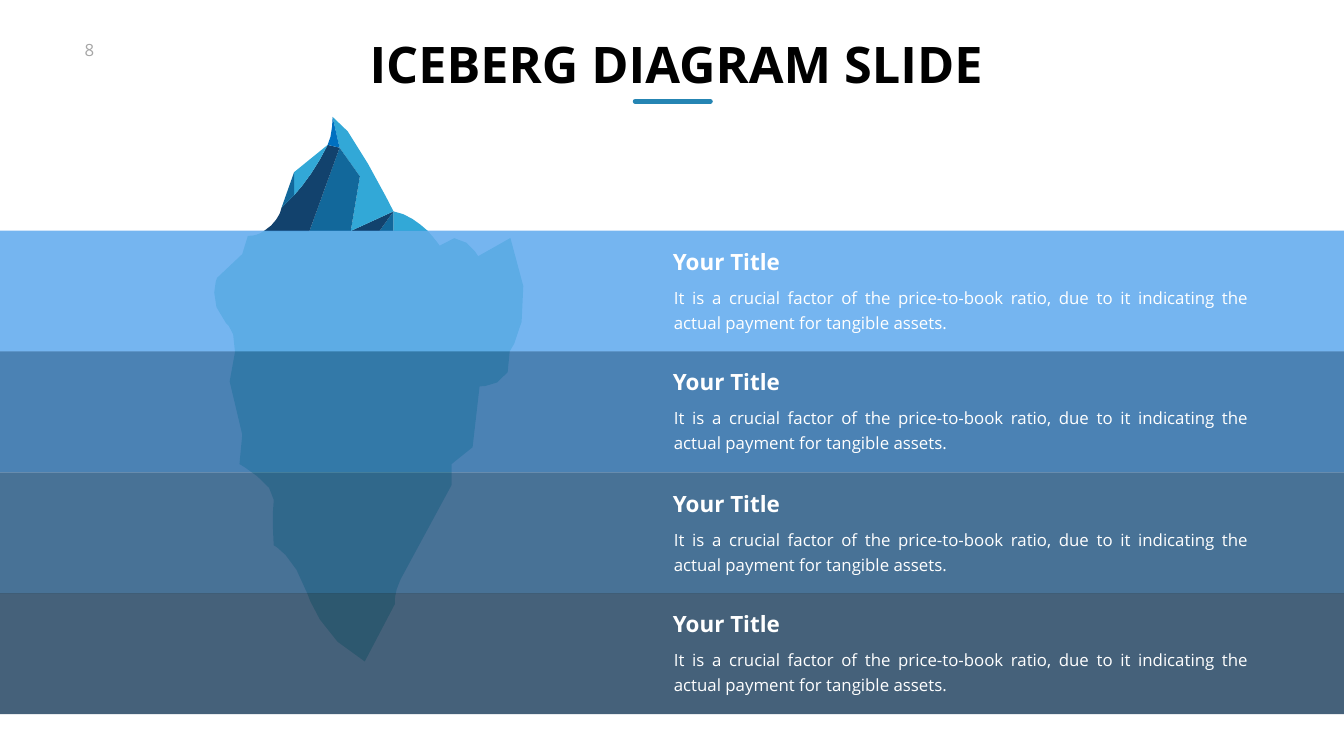
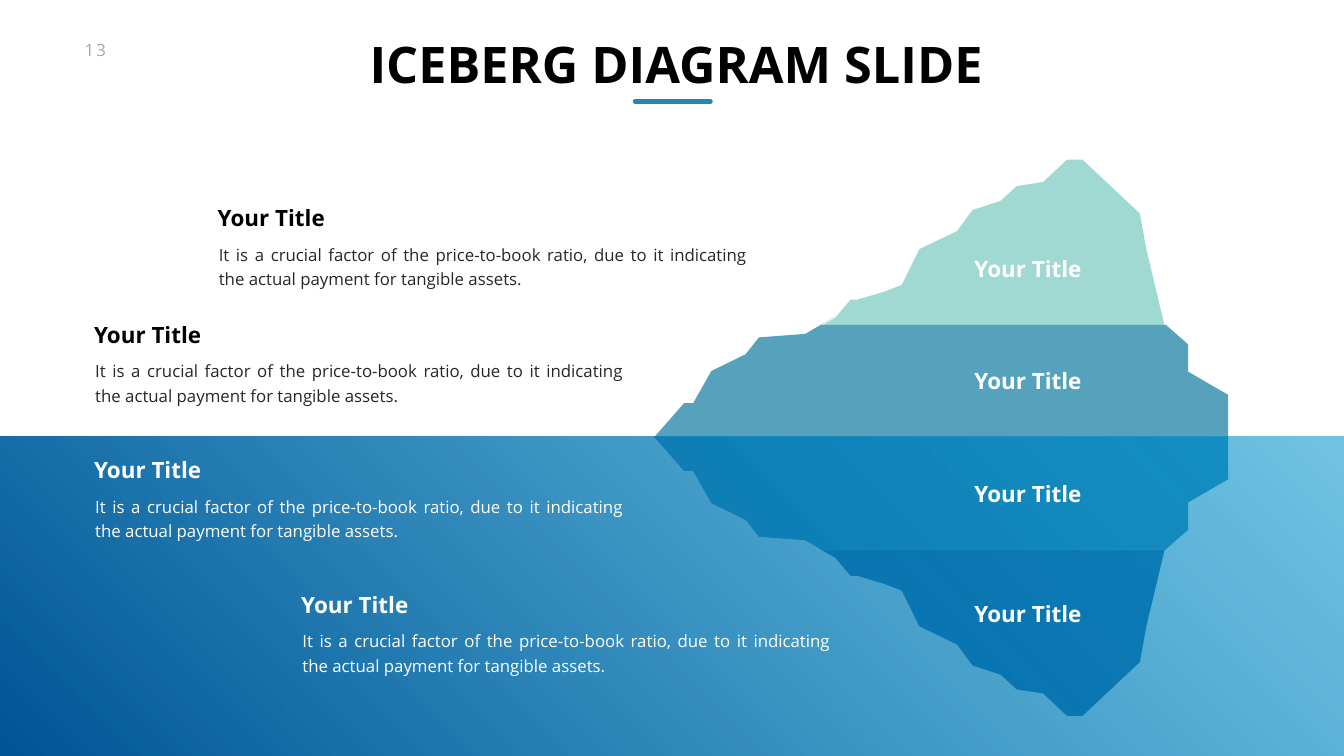
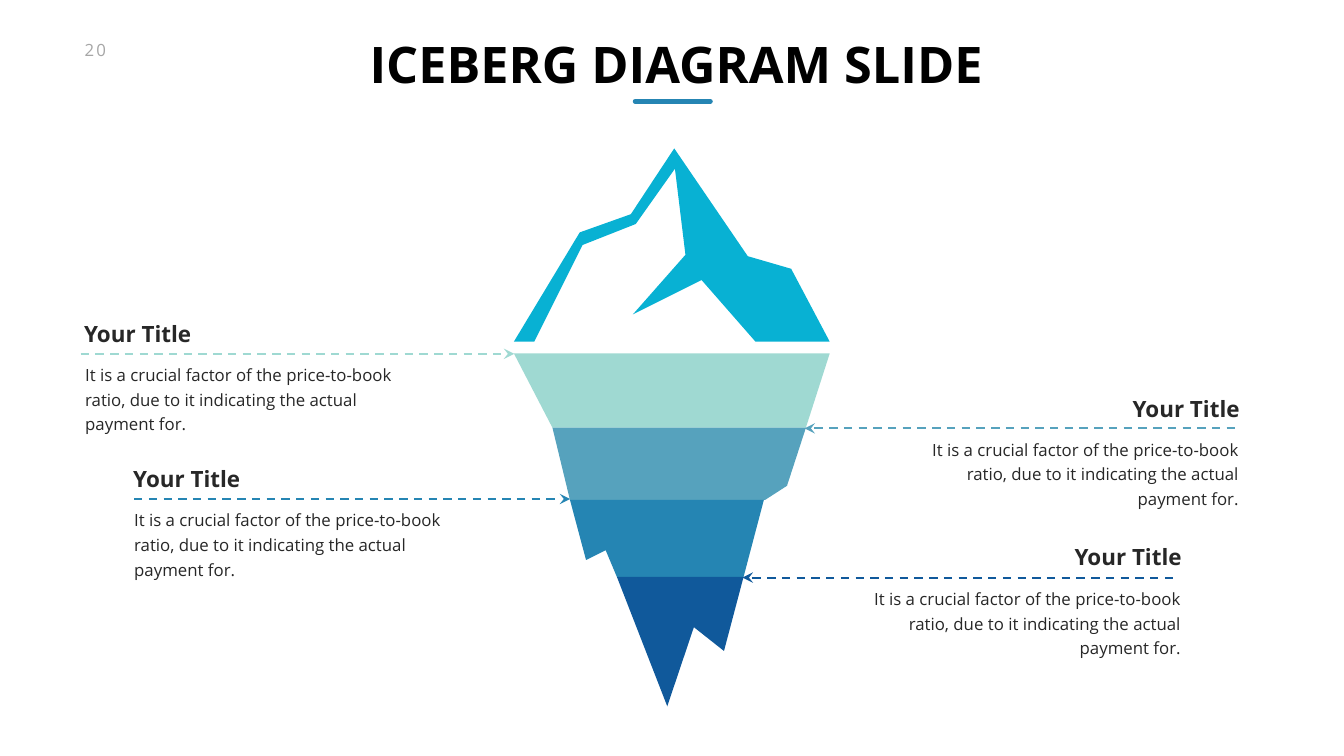
from dataclasses import dataclass

from pptx import Presentation
from pptx import util as u
from pptx.dml.color import RGBColor
from pptx.enum import dml, shapes, text
from pptx.oxml.ns import qn
from lxml import etree

Pt = u.Pt
LEFT, CENTER, RIGHT, JUSTIFY = (
    text.PP_ALIGN.LEFT, text.PP_ALIGN.CENTER, text.PP_ALIGN.RIGHT, text.PP_ALIGN.JUSTIFY)


@dataclass(frozen=True)
class Theme:
    font: str = "Open Sans"
    title_size: int = 72
    heading_size: int = 32
    body_size: int = 24
    line_spacing: int = 35
    black: str = "000000"
    white: str = "FFFFFF"
    ink: str = "272727"
    grey: str = "A6A6A6"
    mint: str = "9FD9D2"
    teal: str = "56A2BD"
    blue: str = "2585B3"
    navy: str = "10599B"
    cyan: str = "08B1D3"
    ice_light: str = "32A8D7"
    ice_mid: str = "12689B"
    ice_dark: str = "12426D"
    ice_bright: str = "0070C0"
    depths: tuple = ("479DEC", "10599B", "0C4374", "082D4E")
    sea: tuple = ("005496", "0D99CE")


THEME = Theme()
SLIDE_WIDTH, SLIDE_HEIGHT = 1919.52, 1080
HEADING_WIDTH, HEADING_HEIGHT = 169.2, 46.1
BODY_HEIGHT = 85.7
BODY_INDENT = 8.64
HEADING = "Your Title"
LONG_BODY = ("It is a crucial factor of the price-to-book ratio, due to it indicating "
             "the actual payment for tangible assets.")
SHORT_BODY = ("It is a crucial factor of the price-to-book ratio, due to it indicating "
              "the actual payment for.")

# Outlines hold (x, y) for a straight side and six numbers for a Bézier curve.
SUNKEN_ICE = [
    (729, 340), (773, 443, 728, 502, 728, 502), (737, 554, 685, 552, 685, 552),
    (675, 639), (645, 663), (645, 693), (572, 828), (562, 848, 564, 863, 564, 863),
    (521, 945), (459, 914, 439, 848, 439, 848), (420, 793, 391, 779, 391, 779),
    (391, 779, 388, 735, 391, 714), (393, 692, 342, 663, 342, 663), (346, 621),
    (328, 545), (348, 476, 323, 462, 323, 462), (295, 431, 310, 397, 310, 397),
    (346, 363), (354, 337), (363, 337, 370, 335, 377, 330), (611, 330),
    (621, 341, 628, 351, 628, 351), (657, 320, 683, 366, 683, 366)]
TIP_FACETS = [
    (THEME.ice_light, [(611, 330), (562, 330), (562, 302), (581, 305, 598, 318, 611, 330)]),
    (THEME.ice_mid, [(562, 302), (562, 330), (542, 330)]),
    (THEME.ice_dark, [(562, 302), (542, 330), (501, 330)]),
    (THEME.ice_light, [(562, 302), (501, 330), (514, 252), (485, 211), (475, 167),
                       (494, 166, 562, 302, 562, 302)]),
    (THEME.ice_mid, [(485, 211), (514, 252), (501, 330), (442, 330)]),
    (THEME.ice_dark, [(485, 211), (442, 330), (377, 330), (393, 321, 400, 304, 400, 304),
                      (402, 297), (420, 279), (434, 264, 453, 238, 468, 207)]),
    (THEME.ice_bright, [(475, 167), (485, 211), (468, 207), (475, 194, 475, 167, 475, 167)]),
    (THEME.ice_light, [(420, 246), (468, 207), (453, 238, 434, 264, 420, 279)]),
    (THEME.ice_mid, [(420, 246), (420, 279), (402, 297)])]

PEAK = [
    (1637, 355), (1628, 305), (1546, 228), (1524, 228), (1490, 260), (1452, 266),
    (1429, 287), (1389, 300), (1367, 330), (1313, 356), (1288, 407), (1265, 416),
    (1225, 428), (1215, 428), (1193, 454), (1172, 466), (1665, 466), (1663, 464)]
SHOULDER = [
    (1697, 531), (1697, 492), (1665, 464), (1172, 464), (1193, 452), (1150, 477),
    (1084, 482), (1065, 506), (1016, 530), (990, 576), (977, 576), (934, 625),
    (1754, 625), (1754, 564)]

LAYERS = [
    (THEME.cyan, [(763, 488), (832, 350), (908, 320), (964, 241), (979, 364), (904, 449),
                  (1002, 400), (1079, 488), (1185, 488), (1130, 384), (1068, 366),
                  (963, 212), (901, 306), (828, 332), (734, 488)]),
    (THEME.mint, [(1185, 505), (734, 505), (789, 611), (1151, 611)]),
    (THEME.teal, [(789, 611), (814, 714), (1093, 714), (1124, 694), (1151, 611)]),
    (THEME.blue, [(814, 714), (837, 800), (865, 786), (881, 824), (1062, 824),
                  (1091, 714), (1093, 714)]),
    (THEME.navy, [(881, 824), (953, 1009), (991, 896), (1034, 930), (1062, 824)])]


def rgb(color):
    return RGBColor.from_string(color)


def place(shape, left, top, width, height):
    shape.left, shape.top, shape.width, shape.height = map(Pt, (left, top, width, height))


def write(shape, words, size, color, bold=False, align=LEFT, wrap=False,
          anchor=text.MSO_ANCHOR.TOP, insets=(7.2, 3.6, 7.2, 3.6)):
    """Fill a shape with one formatted paragraph and return that paragraph."""
    frame = shape.text_frame
    frame.text = words
    frame.word_wrap = wrap
    frame.auto_size = text.MSO_AUTO_SIZE.SHAPE_TO_FIT_TEXT
    frame.vertical_anchor = anchor
    (frame.margin_left, frame.margin_top,
     frame.margin_right, frame.margin_bottom) = map(Pt, insets)
    paragraph = frame.paragraphs[0]
    paragraph.alignment = align
    font = paragraph.runs[0].font
    font.name, font.size, font.bold = THEME.font, Pt(size), bold
    font.color.rgb = rgb(color)
    return paragraph


def add_text(slide, box, *args, **style):
    shape = slide.shapes.add_textbox(*map(Pt, box))
    return write(shape, *args, **style)


def add_heading(slide, left, top, color, align=LEFT):
    add_text(slide, (left, top, HEADING_WIDTH, HEADING_HEIGHT), HEADING, THEME.heading_size,
             color, bold=True, align=align, anchor=text.MSO_ANCHOR.MIDDLE)


def add_entry(slide, left, top, width, words, heading_color, body_color,
              align=JUSTIFY, rise=HEADING_HEIGHT):
    """Add a body text at left, top with its heading `rise` points above."""
    paragraph = add_text(slide, (left, top, width, BODY_HEIGHT), words, THEME.body_size,
                         body_color, align=align, wrap=True,
                         insets=(17.28, 8.64, 17.28, 8.64))
    paragraph.line_spacing = Pt(THEME.line_spacing)
    paragraph.space_before = Pt(THEME.body_size * 0.2)
    if align == RIGHT:
        add_heading(slide, left + width - BODY_INDENT - HEADING_WIDTH, top - rise,
                    heading_color, RIGHT)
    else:
        add_heading(slide, left + BODY_INDENT, top - rise, heading_color)


def add_line(slide, start, end, color, width):
    line = slide.shapes.add_connector(shapes.MSO_CONNECTOR.STRAIGHT, *map(Pt, start + end))
    line.line.color.rgb = rgb(color)
    line.line.width = Pt(width)
    etree.SubElement(line._element.spPr, qn("a:effectLst"))
    return line


def add_arrow(slide, left, right, y, color, pointed_end):
    """Add a dashed line drawn rightwards, pointed at "headEnd" or "tailEnd"."""
    arrow = add_line(slide, (left, y), (right, y), color, 3)
    arrow.line.dash_style = dml.MSO_LINE.DASH
    etree.SubElement(arrow.line._get_or_add_ln(), qn("a:" + pointed_end),
                     type="stealth", w="lg", len="lg")


def add_rectangle(slide, top, height):
    """Add a full-width rectangle without line or shadow."""
    rectangle = slide.shapes.add_shape(
        shapes.MSO_SHAPE.RECTANGLE, 0, Pt(top), Pt(SLIDE_WIDTH), Pt(height))
    rectangle.shadow.inherit = False
    rectangle.line.fill.background()
    return rectangle


def set_opacity(shape, *percents):
    """Give the fill colours of a shape their opacity, in order."""
    for color, percent in zip(shape._element.spPr.iter(qn("a:srgbClr")), percents):
        etree.SubElement(color, qn("a:alpha"), val=str(percent * 1000))


def flatten(outline, steps=4):
    """Turn an outline of sides and curves into plain points."""
    points = [outline[0]]
    for part in outline[1:]:
        if len(part) == 2:
            points.append(part)
            continue
        corners = [points[-1], part[:2], part[2:4], part[4:]]
        for step in range(1, steps + 1):
            t = step / steps
            weights = ((1 - t) ** 3, 3 * t * (1 - t) ** 2, 3 * t * t * (1 - t), t ** 3)
            points.append(tuple(
                sum(weight * corner[axis] for weight, corner in zip(weights, corners))
                for axis in (0, 1)))
    return points


def add_outline(slide, color, outline):
    points = [(Pt(x), Pt(y)) for x, y in flatten(outline)]
    builder = slide.shapes.build_freeform(*points[0])
    builder.add_line_segments(points[1:], close=True)
    shape = builder.convert_to_shape()
    shape.shadow.inherit = False
    shape.fill.solid()
    shape.fill.fore_color.rgb = rgb(color)
    shape.line.fill.background()
    return shape


def add_outline_group(slide, parts):
    slide.shapes.add_group_shape([add_outline(slide, *part) for part in parts])


def add_titled_slide(presentation, number):
    slide = presentation.slides.add_slide(presentation.slide_layouts[5])
    title = slide.shapes.title
    place(title, 516.2, 46.8, 892.1, 87.1)
    write(title, "ICEBERG DIAGRAM SLIDE", THEME.title_size, THEME.black, bold=True,
          align=CENTER, insets=(7.2, 0, 0, 0))
    rule = add_line(slide, (907.2, 144.7), (1014.5, 144.7), THEME.blue, 7)
    rule.line._get_or_add_ln().set("cap", "rnd")
    paragraph = add_text(slide, (113.8, 53.3, 54, 36), str(number), THEME.body_size, THEME.grey)
    paragraph.runs[0]._r.get_or_add_rPr().set("spc", "300")
    return slide


def build_depth_bands(presentation):
    slide = add_titled_slide(presentation, 8)
    add_outline(slide, THEME.mint, SUNKEN_ICE)
    add_outline_group(slide, TIP_FACETS)
    for index, color in enumerate(THEME.depths):
        band = add_rectangle(slide, 329.5 + 172.6 * index, 172.8)
        band.fill.solid()
        band.fill.fore_color.rgb = rgb(color)
        set_opacity(band, 75)
    for top in (396.7, 568.1, 742.3, 913.7):
        add_entry(slide, 945.2, top, 854.6, LONG_BODY, THEME.white, THEME.white)


def build_mirrored_iceberg(presentation):
    slide = add_titled_slide(presentation, 13)
    waterline = 623.5
    for outline, above, below, mirror in ((PEAK, THEME.mint, THEME.navy, 625.4),
                                          (SHOULDER, THEME.teal, THEME.blue, 624.4)):
        add_outline(slide, above, outline)
        add_outline(slide, below, [(x, 2 * mirror - y) for x, y in outline])
    sea = add_rectangle(slide, waterline, 455.8)
    sea.fill.gradient()
    sea.fill.gradient_angle = 45
    for stop, color, position in zip(sea.fill.gradient_stops, THEME.sea, (0, 1)):
        stop.color.rgb = rgb(color)
        stop.position = position
    set_opacity(sea, 100, 59)
    for top in (360.7, 521.3, 681.8, 853.2):
        add_heading(slide, 1383.6, top, THEME.white, CENTER)
    for left, top in ((295.2, 334.1), (118.6, 500.6), (118.6, 694.1), (414.5, 886.8)):
        colors = (THEME.white, THEME.white) if top > waterline else (THEME.black, THEME.ink)
        add_entry(slide, left, top, 788.4, LONG_BODY, *colors)


def build_layered_iceberg(presentation):
    slide = add_titled_slide(presentation, 20)
    add_outline_group(slide, LAYERS)
    callouts = [
        (1149.1, 1771.9, 612, THEME.teal, 1262.9, RIGHT, 53.3),
        (1060.6, 1683.4, 825.1, THEME.navy, 1180.1, RIGHT, 54.7),
        (115.2, 734.4, 505.4, THEME.mint, 104.4, LEFT, 53.3),
        (191.5, 814.3, 712.8, THEME.blue, 174.4, LEFT, 53.3)]
    for line_left, line_right, y, color, body_left, align, rise in callouts:
        pointed_end = "headEnd" if align == RIGHT else "tailEnd"
        add_arrow(slide, line_left, line_right, y, color, pointed_end)
        add_entry(slide, body_left, y + 1.2, 523.4, SHORT_BODY, THEME.ink, THEME.ink,
                  align=align, rise=rise)


def main():
    presentation = Presentation()
    presentation.slide_width, presentation.slide_height = Pt(SLIDE_WIDTH), Pt(SLIDE_HEIGHT)
    build_depth_bands(presentation)
    build_mirrored_iceberg(presentation)
    build_layered_iceberg(presentation)
    presentation.save("out.pptx")


if __name__ == "__main__":
    main()
